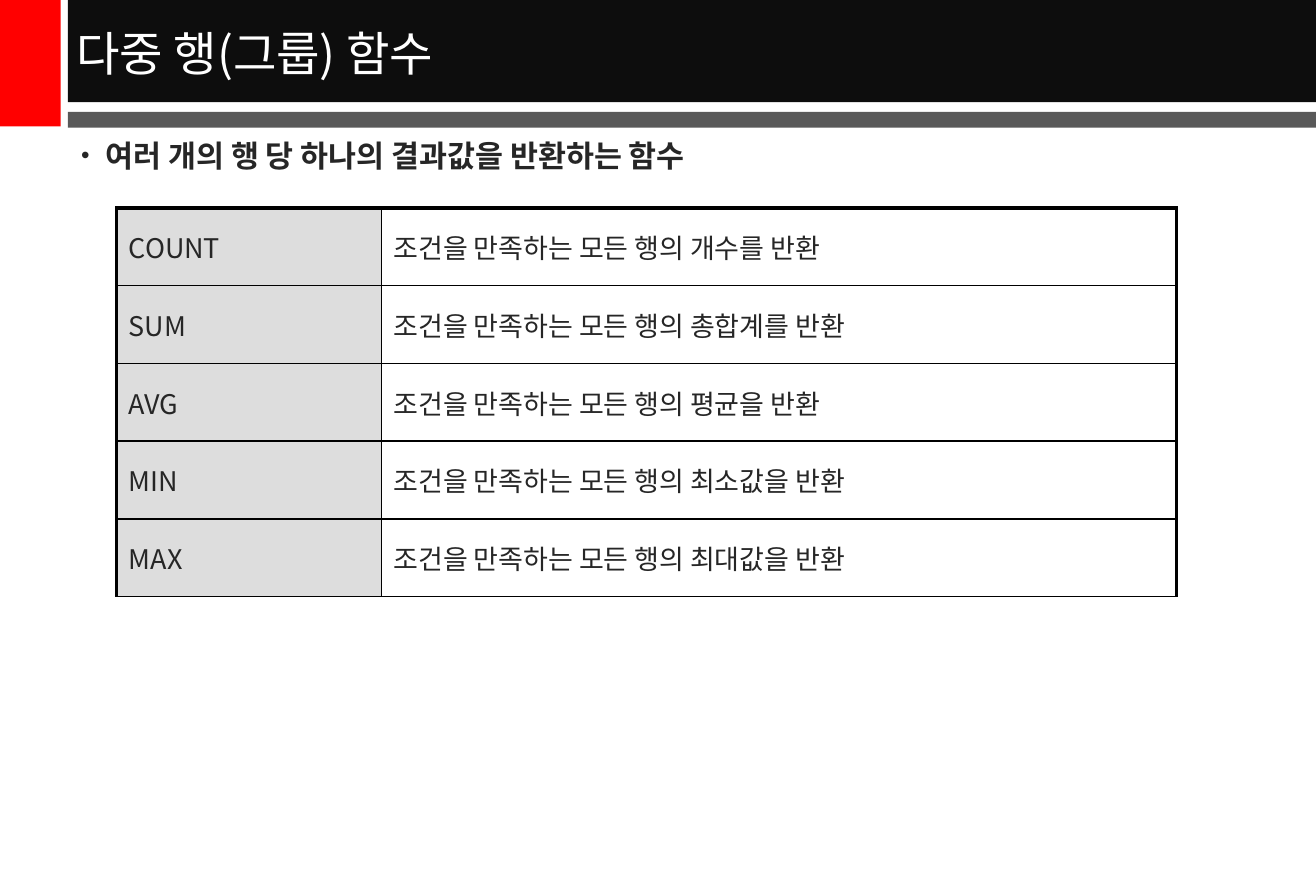
from lxml import etree
from pptx import Presentation
from pptx import util as u
from pptx.dml.color import RGBColor
from pptx.enum import shapes, text
from pptx.oxml import ns

FONT = "Noto Sans CJK KR"
TEXT_COLOR = "262626"


def set_fill(target, color):
    """Give a shape, cell or font a solid fill from a hex string."""
    target.fill.solid()
    target.fill.fore_color.rgb = RGBColor.from_string(color)


def write(frame, content, size, color=TEXT_COLOR, bold=False,
          anchor=text.MSO_ANCHOR.MIDDLE):
    """Write one formatted paragraph into a text frame and return it."""
    frame.word_wrap = True
    frame.vertical_anchor = anchor
    paragraph = frame.paragraphs[0]
    run = paragraph.add_run()
    run.text = content
    run.font.size = u.Pt(size)
    run.font.bold = bold
    set_fill(run.font, color)
    run.font.name = FONT
    east_asian = etree.SubElement(run.font._element, ns.qn("a:ea"))
    east_asian.set("typeface", FONT)
    return paragraph


presentation = Presentation()
presentation.slide_width = u.Inches(10.83)
presentation.slide_height = u.Inches(7.28)
slide = presentation.slides.add_slide(presentation.slide_layouts[6])

# Header bars
header_bars = [
    (0, 0, 0.5, 1.04, "FF0000"),
    (0.56, 0, 10.27, 0.84, "0D0D0D"),
    (0.56, 0.92, 10.27, 0.13, "595959"),
]
for *box, color in header_bars:
    bar = slide.shapes.add_shape(
        shapes.MSO_SHAPE.RECTANGLE, *[u.Inches(length) for length in box])
    bar.shadow.inherit = False
    set_fill(bar, color)
    bar.line.fill.background()

# Title
title = slide.shapes.add_textbox(
    u.Inches(0.53), u.Inches(0.02), u.Inches(10.3), u.Inches(0.82))
write(title.text_frame, "다중 행(그룹) 함수", 28, color="FFFFFF")

# Bulleted definition
definition = slide.shapes.add_textbox(
    u.Inches(0.57), u.Inches(1.08), u.Inches(9.84), u.Inches(0.5))
paragraph = write(definition.text_frame, "여러 개의 행 당 하나의 결과값을 반환하는 함수",
                  18, bold=True, anchor=text.MSO_ANCHOR.TOP)
properties = paragraph._p.get_or_add_pPr()
properties.set("marL", str(u.Inches(0.2)))
properties.set("indent", str(-u.Inches(0.2)))
etree.SubElement(properties, ns.qn("a:buSzPct")).set("val", "80000")
etree.SubElement(properties, ns.qn("a:buFont")).set("typeface", "Arial")
etree.SubElement(properties, ns.qn("a:buChar")).set("char", "•")

# Table of group functions
results = {"COUNT": "개수를", "SUM": "총합계를", "AVG": "평균을",
           "MIN": "최소값을", "MAX": "최대값을"}
row_height = u.Inches(0.64)
column_widths = [u.Inches(2.18), u.Inches(6.54)]
table = slide.shapes.add_table(
    len(results), 2, u.Inches(0.96), u.Inches(1.71),
    sum(column_widths), row_height * len(results)).table
table.first_row = False
table.horz_banding = False
for column, width in zip(table.columns, column_widths):
    column.width = width

THIN, THICK = u.Pt(1), u.Pt(2.25)
for row, (function, result) in enumerate(results.items()):
    table.rows[row].height = row_height
    description = f"조건을 만족하는 모든 행의 {result} 반환"
    for column, content in enumerate([function, description]):
        cell = table.cell(row, column)
        write(cell.text_frame, content, 16)
        cell.vertical_anchor = text.MSO_ANCHOR.MIDDLE
        borders = {
            "a:lnL": THICK if column == 0 else THIN,
            "a:lnR": THICK if column == 1 else THIN,
            "a:lnT": THICK if row == 0 else THIN,
            "a:lnB": THIN,
        }
        cell_properties = cell._tc.get_or_add_tcPr()
        for tag, width in borders.items():
            border = etree.SubElement(cell_properties, ns.qn(tag), w=str(width))
            solid = etree.SubElement(border, ns.qn("a:solidFill"))
            etree.SubElement(solid, ns.qn("a:srgbClr"), val="000000")
        set_fill(cell, "DDDDDD" if column == 0 else "FFFFFF")

presentation.save("out.pptx")
